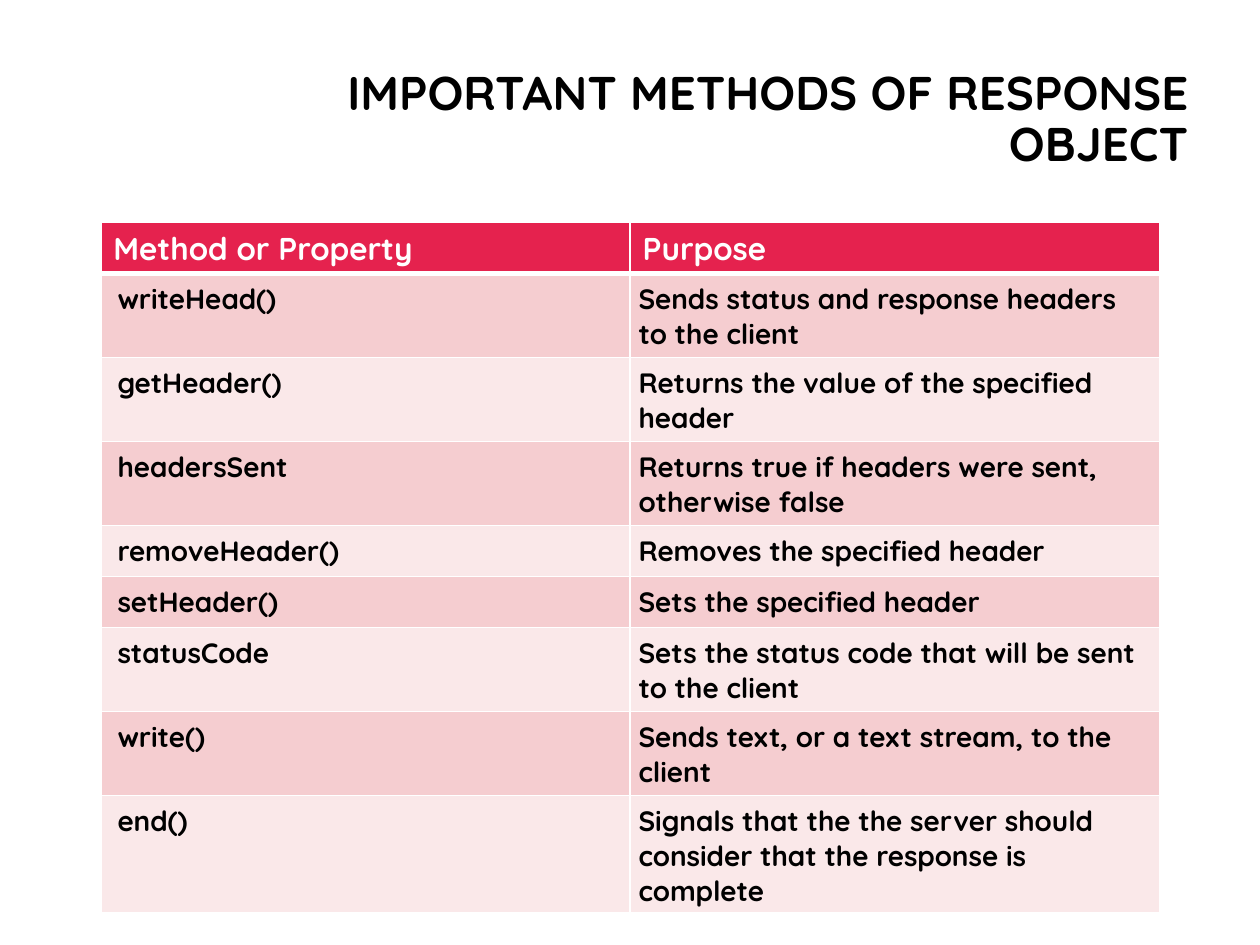
from pptx import Presentation
from pptx.dml.color import RGBColor
from pptx.enum.text import MSO_ANCHOR, PP_ALIGN
from pptx.oxml.ns import qn
from pptx.util import Pt
from lxml.etree import SubElement

FONT = "Quicksand"
BLACK, WHITE = "000000", "FFFFFF"
HEADER_FILL = "E5224E"
BAND_FILLS = ("F5CDD0", "FAE8E9")
HEADER_RULE, GRID_RULE = 3, 1

HEADINGS = ("Method or Property", "Purpose")
METHODS = [
    ("writeHead()", "Sends status and response headers to the client"),
    ("getHeader()", "Returns the value of the specified header"),
    ("headersSent", "Returns true if headers were sent, otherwise false"),
    ("removeHeader()", "Removes the specified header"),
    ("setHeader()", "Sets the specified header"),
    ("statusCode", "Sets the status code that will be sent to the client"),
    ("write()", "Sends text, or a text stream, to the client"),
    ("end()", "Signals that the the server should consider that the response is complete"),
]


def color(hex_string):
    return RGBColor.from_string(hex_string)


def write_text(paragraph, text, size, text_color):
    run = paragraph.add_run()
    run.text = text
    for name, value in {"name": FONT, "size": Pt(size), "bold": True}.items():
        setattr(run.font, name, value)
    run.font.color.rgb = color(text_color)


def set_borders(cell, top, bottom):
    """Draw white borders; this must come before the cell's fill."""
    properties = cell._tc.get_or_add_tcPr()
    widths = {"a:lnL": GRID_RULE, "a:lnR": GRID_RULE, "a:lnT": top, "a:lnB": bottom}
    for tag, width in widths.items():
        line = SubElement(properties, qn(tag), w=str(Pt(width)))
        fill = SubElement(line, qn("a:solidFill"))
        SubElement(fill, qn("a:srgbClr"), val=WHITE)


def fill_cell(cell, text, size, text_color, fill_color, top, bottom):
    set_borders(cell, top, bottom)
    cell.fill.solid()
    cell.fill.fore_color.rgb = color(fill_color)
    write_text(cell.text_frame.paragraphs[0], text, size, text_color)


def add_title(slide, left, top, width, height):
    shape = slide.shapes.add_textbox(Pt(left), Pt(top), Pt(width), Pt(height))
    frame = shape.text_frame
    frame.word_wrap = True
    frame.vertical_anchor = MSO_ANCHOR.MIDDLE
    paragraph = frame.paragraphs[0]
    paragraph.alignment = PP_ALIGN.RIGHT
    paragraph.line_spacing = 0.9
    write_text(paragraph, "IMPORTANT METHODS OF RESPONSE OBJECT", 27, BLACK)


def add_methods_table(slide, left, top, width, row_height):
    row_count = len(METHODS) + 1
    table = slide.shapes.add_table(
        row_count, len(HEADINGS), Pt(left), Pt(top), Pt(width), Pt(row_height * row_count)
    ).table
    for row in table.rows:
        row.height = Pt(row_height)

    for column, heading in enumerate(HEADINGS):
        fill_cell(table.cell(0, column), heading, 18, WHITE, HEADER_FILL,
                  GRID_RULE, HEADER_RULE)

    for row, texts in enumerate(METHODS, start=1):
        for column, text in enumerate(texts):
            cell = table.cell(row, column)
            fill_cell(cell, text, 16, BLACK, BAND_FILLS[(row - 1) % 2],
                      HEADER_RULE if row == 1 else GRID_RULE, GRID_RULE)
            for side in ("left", "top", "right", "bottom"):
                setattr(cell, f"margin_{side}", Pt(4.8))
            if column == 0:
                cell.margin_left = Pt(9.6)


def main():
    presentation = Presentation()
    presentation.slide_width, presentation.slide_height = Pt(720), Pt(540)
    slide = presentation.slides.add_slide(presentation.slide_layouts[6])
    add_title(slide, 184, 18, 502, 101.5)
    add_methods_table(slide, 57.6, 127, 605, 29.2)
    presentation.save("out.pptx")


if __name__ == "__main__":
    main()
